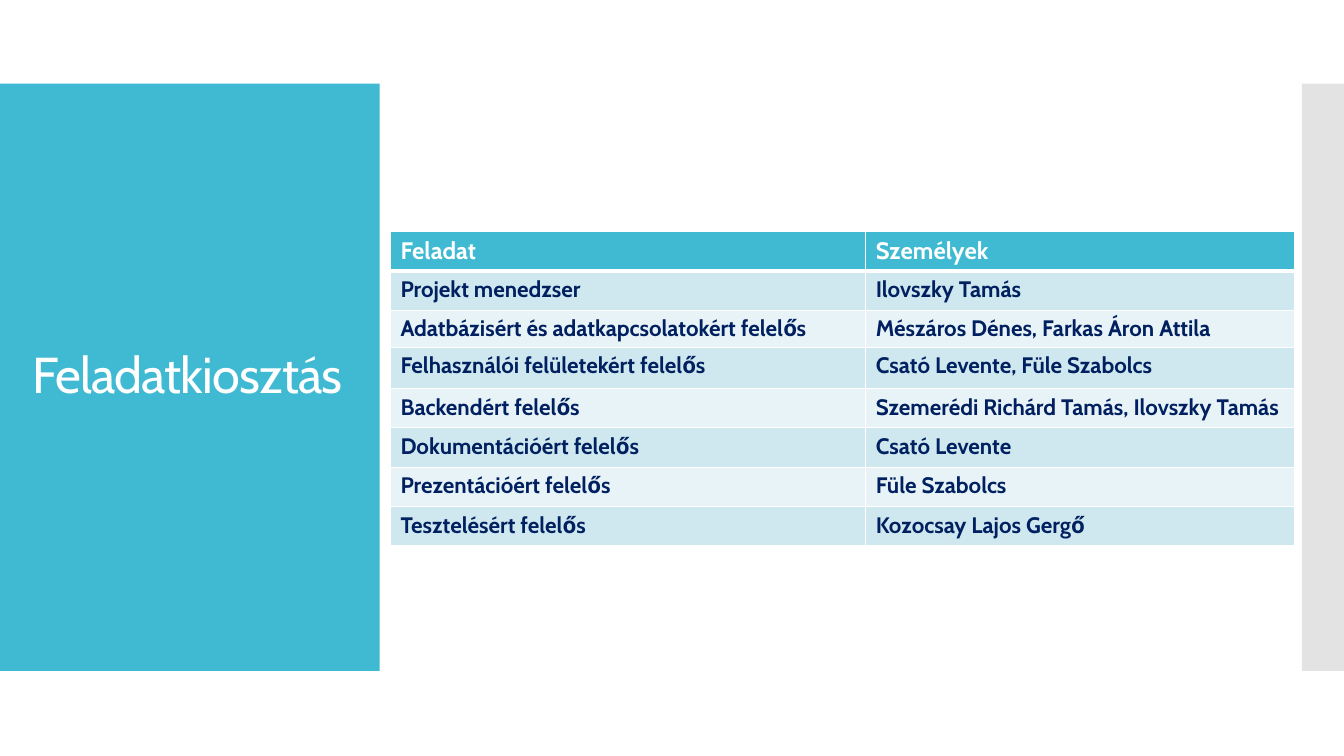
import pptx
import pptx.dml.color
import pptx.enum.shapes
import pptx.enum.text
import pptx.oxml
import pptx.oxml.ns
import pptx.util
from dataclasses import dataclass
from lxml import etree

Cm = pptx.util.Cm
Pt = pptx.util.Pt
qn = pptx.oxml.ns.qn


@dataclass
class Theme:
    font: str = "Cabin"
    teal: str = "40BAD2"
    gray: str = "C8C8C8"
    white: str = "FFFFFF"
    navy: str = "002060"
    bands: tuple = ("E8F3F7", "CFE7EE")
    title: int = 36
    head: int = 17
    body: int = 16


theme = Theme()


def style(par, size, color, bold=False):
    par.font.name = theme.font
    par.font.size = Pt(size)
    par.font.bold = bold
    par.font.color.rgb = pptx.dml.color.RGBColor.from_string(color)


def paint(fill, color):
    fill.solid()
    fill.fore_color.rgb = pptx.dml.color.RGBColor.from_string(color)


deck = pptx.Presentation()
deck.slide_width = Cm(33.87)
deck.slide_height = Cm(19.05)
slide = deck.slides.add_slide(deck.slide_layouts[6])

# Side panels
for left, width, color in ((0, 9.57, theme.teal), (32.81, 1.06, theme.gray)):
    panel = slide.shapes.add_shape(
        pptx.enum.shapes.MSO_SHAPE.RECTANGLE,
        Cm(left), Cm(2.11), Cm(width), Cm(14.8))
    panel.shadow.inherit = False
    panel.line.fill.background()
    paint(panel.fill, color)
    if color == theme.gray:
        tone = panel.fill._xPr.find(".//" + qn("a:srgbClr"))
        etree.SubElement(tone, qn("a:alpha"), val="50000")

# Title
box = slide.shapes.add_textbox(Cm(0.56), Cm(3.12), Cm(8.76), Cm(12.78))
frame = box.text_frame
frame.word_wrap = True
frame.vertical_anchor = pptx.enum.text.MSO_ANCHOR.MIDDLE
title = frame.paragraphs[0]
title.text = "Feladatkiosztás"
title.line_spacing = 0.9
style(title, theme.title, theme.white)
title.runs[0].font._element.set("spc", "-60")

# Task table
tasks = (
    ("Feladat", "Személyek"),
    ("Projekt menedzser", "Ilovszky Tamás"),
    ("Adatbázisért és adatkapcsolatokért felelős",
     "Mészáros Dénes, Farkas Áron Attila"),
    ("Felhasználói felületekért felelős", "Csató Levente, Füle Szabolcs"),
    ("Backendért felelős", "Szemerédi Richárd Tamás, Ilovszky Tamás"),
    ("Dokumentációért felelős", "Csató Levente"),
    ("Prezentációért felelős", "Füle Szabolcs"),
    ("Tesztelésért felelős", "Kozocsay Lajos Gergő"),
)
heights = (0.99, 0.99, 0.48, 1.04, 0.99, 0.99, 0.99, 0.99)
grid = slide.shapes.add_table(
    len(tasks), 2, Cm(9.84), Cm(5.84), Cm(22.79), Cm(sum(heights))).table
for col, width in zip(grid.columns, (11.98, 10.81)):
    col.width = Cm(width)

for r, (texts, height) in enumerate(zip(tasks, heights)):
    grid.rows[r].height = Cm(height)
    top = r == 0
    for c, text in enumerate(texts):
        cell = grid.cell(r, c)
        paint(cell.fill, theme.teal if top else theme.bands[r % 2])
        par = cell.text_frame.paragraphs[0]
        par.text = text
        style(par, theme.head if top else theme.body,
              theme.white if top else theme.navy, True)
        props = cell._tc.get_or_add_tcPr()
        for i, side in enumerate("LRTB"):
            thick = (r, side) in ((0, "B"), (1, "T"))
            edge = etree.Element(qn("a:ln" + side), w=str(Pt(3 if thick else 1)))
            fill = etree.SubElement(edge, qn("a:solidFill"))
            etree.SubElement(fill, qn("a:srgbClr"), val=theme.white)
            props.insert(i, edge)

deck.save("out.pptx")
